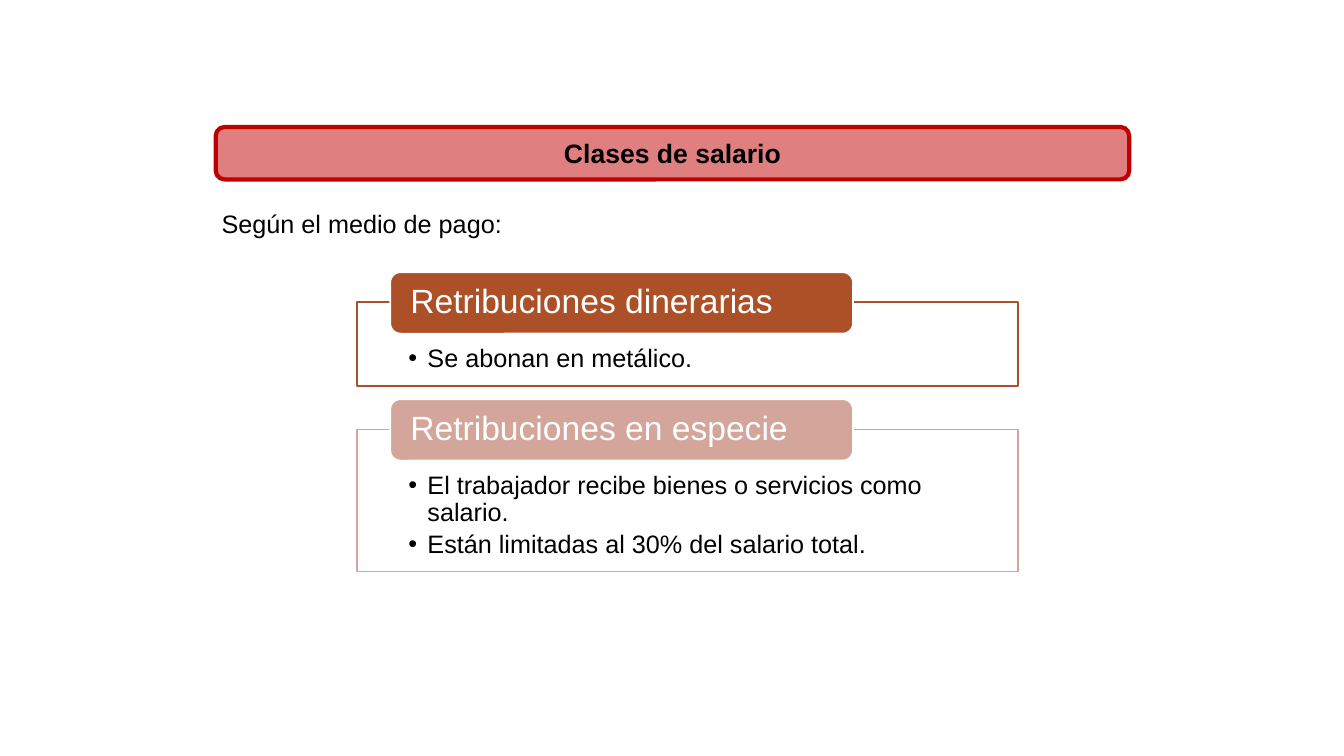
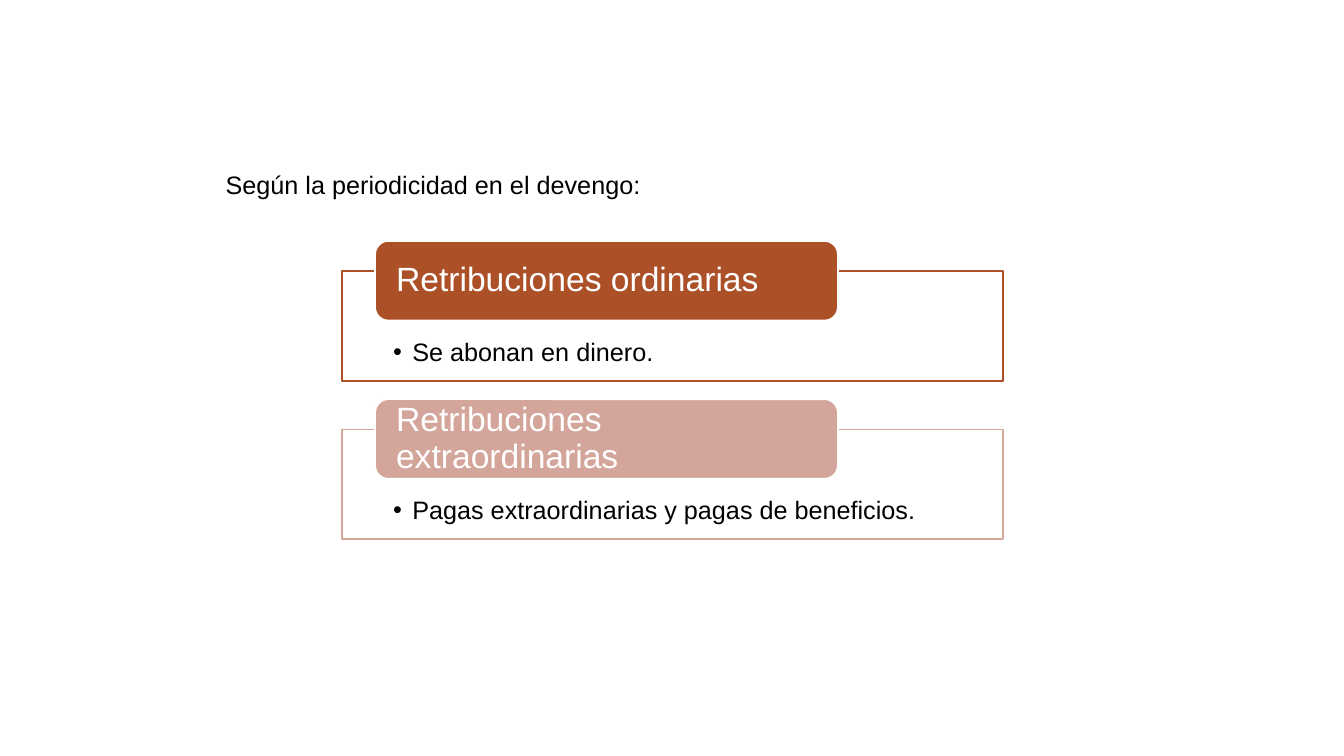
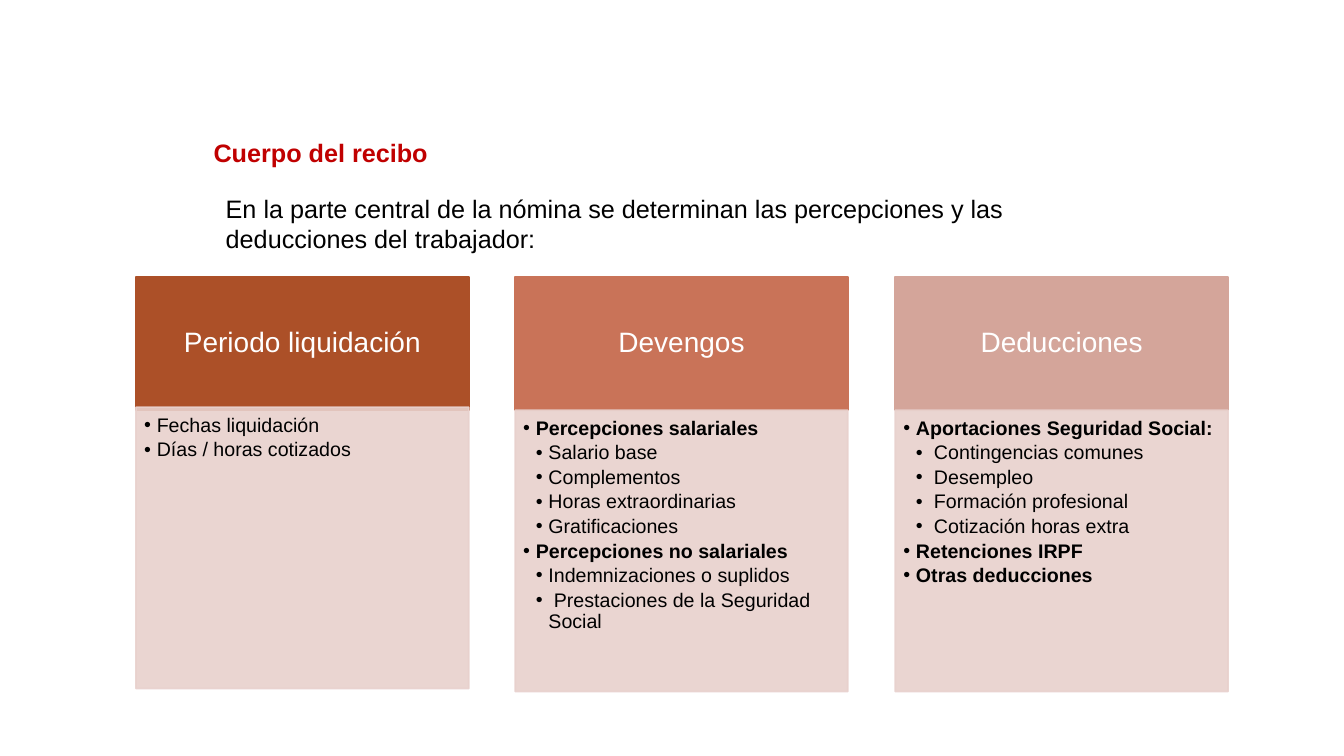
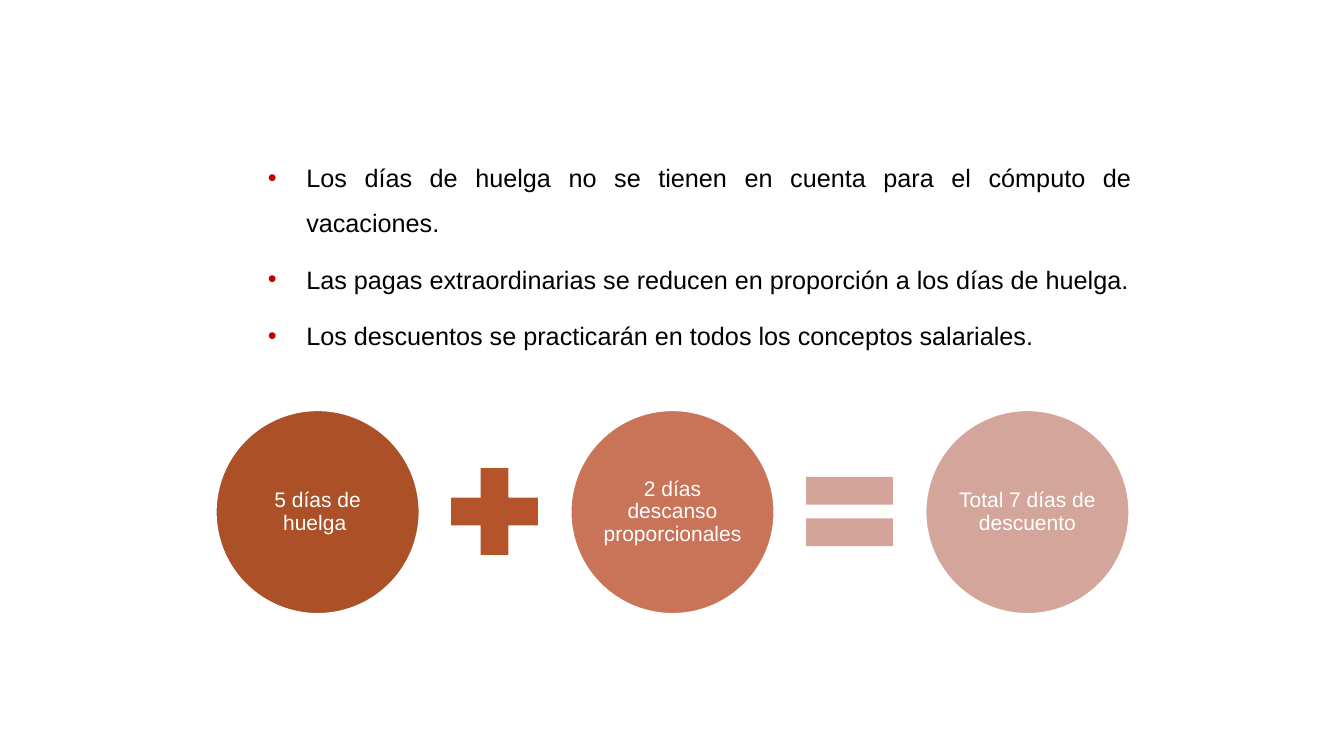
import pptx
import pptx.dml.color
import pptx.enum.shapes
import pptx.enum.text
import pptx.oxml.ns
import pptx.util
from lxml import etree

PX = 9144  # EMU in one px: 100 px to the inch
FONT = "Arial"
COLORS = {
    "red": "C00000",
    "black": "000000",
    "white": "FFFFFF",
    "rust": "AC5028",
    "terracotta": "C97358",
    "rose": "D4A59A",
    "blush": "E8D1CD",
    "plus": "B5542A",
    "equal": "D4A49A",
}
COLUMN_COLORS = ("rust", "terracotta", "rose")
CARD_COLORS = ("rust", "rose")

SHAPE = pptx.enum.shapes.MSO_SHAPE
ALIGN = pptx.enum.text.PP_ALIGN
ANCHOR = pptx.enum.text.MSO_ANCHOR
qn = pptx.oxml.ns.qn


def px(length):
    return pptx.util.Emu(length * PX)


def rgb(name):
    return pptx.dml.color.RGBColor.from_string(COLORS[name])


def fade(shape, percent, *fills):
    """Make the named colour fills of a shape partly transparent."""
    for fill in fills:
        color = shape.element.spPr.find(fill + "/" + qn("a:srgbClr"))
        etree.SubElement(color, qn("a:alpha"), val=str(percent * 1000))


FILL = qn("a:solidFill")
LINE_FILL = qn("a:ln") + "/" + FILL


def add_shape(slide, kind, box, fill, line=None, width=1.25):
    shape = slide.shapes.add_shape(kind, *map(px, box))
    shape.shadow.inherit = False
    shape.fill.solid()
    shape.fill.fore_color.rgb = rgb(fill)
    if line:
        shape.line.color.rgb = rgb(line)
        shape.line.width = pptx.util.Pt(width)
    else:
        shape.line.fill.background()
    return shape


def set_frame(shape, insets=(10, 5, 10, 5), anchor=ANCHOR.MIDDLE):
    frame = shape.text_frame
    frame.word_wrap = True
    frame.vertical_anchor = anchor
    frame.margin_left, frame.margin_top, frame.margin_right, frame.margin_bottom = map(px, insets)
    return frame


def add_bullet(para, left, hanging, color=None):
    props = para._p.get_or_add_pPr()
    props.set("marL", str(px(left)))
    props.set("indent", str(px(-hanging)))
    if color:
        bullet_color = etree.SubElement(props, qn("a:buClr"))
        etree.SubElement(bullet_color, qn("a:srgbClr"), val=COLORS[color])
    etree.SubElement(props, qn("a:buFont"), typeface=FONT)
    etree.SubElement(props, qn("a:buChar"), char="•")


def write(para, text, size, color="black", bold=False, align=ALIGN.LEFT, spacing=1.0, after=0):
    para.alignment = align
    para.line_spacing = spacing
    para.space_after = pptx.util.Pt(after)
    span = para.add_run()
    span.text = text
    span.font.name = FONT
    span.font.size = pptx.util.Pt(size)
    span.font.bold = bold
    span.font.color.rgb = rgb(color)


def paragraphs(frame, items):
    """Yield each item with a paragraph of its own."""
    for index, item in enumerate(items):
        yield (frame.add_paragraph() if index else frame.paragraphs[0]), item


def write_bullets(frame, items, size, step):
    """Write (level, bold, text) items, each level indented by one step."""
    for para, (level, bold, text) in paragraphs(frame, items):
        add_bullet(para, step * level, step)
        para.level = level
        write(para, text, size, bold=bold, spacing=0.9, after=round(size * 0.17, 1))


def add_text(slide, box, text, **style):
    shape = slide.shapes.add_textbox(*map(px, box))
    frame = set_frame(shape, anchor=ANCHOR.TOP)
    write(frame.paragraphs[0], text, 18, **style)


def add_banner(slide, box, text):
    banner = add_shape(slide, SHAPE.ROUNDED_RECTANGLE, box, "red", "red", 3)
    fade(banner, 50, FILL)
    write(set_frame(banner).paragraphs[0], text, 19, bold=True, align=ALIGN.CENTER)


def add_card(slide, box, color, tab_height, text_top, heading, items):
    """Outlined box with a heading tab across its top edge."""
    left, top = box[:2]
    body = add_shape(slide, SHAPE.RECTANGLE, box, "white", color)
    frame = set_frame(body, (51, text_top, 51, 14), ANCHOR.TOP)
    write_bullets(frame, [(1, False, item) for item in items], 18, 19)
    tab = add_shape(slide, SHAPE.ROUNDED_RECTANGLE, (left + 33, top - 30, 459, tab_height), color, "white")
    write(set_frame(tab, (17, 0, 17, 0)).paragraphs[0], heading, 24, "white", spacing=0.9)


def add_column(slide, box, color, body_top, heading, items):
    left, top, width, height = box
    header = add_shape(slide, SHAPE.RECTANGLE, (left, top, width, 132), color, color)
    write(set_frame(header, (16, 9, 16, 9)).paragraphs[0], heading, 20, "white",
          align=ALIGN.CENTER, spacing=0.9)
    body = add_shape(slide, SHAPE.RECTANGLE, (left, top + body_top, width, height - 132), "blush", "blush")
    fade(body, 90, FILL, LINE_FILL)
    write_bullets(set_frame(body, (8, 8, 11, 12), ANCHOR.TOP), items, 14, 12.5)


def add_sum(slide, left, top, terms):
    """Row of circles joined by a plus sign and an equals sign."""
    circle, sign, pitch = 202, 117, 352
    for index, (text, color) in enumerate(zip(terms, COLUMN_COLORS)):
        box = (left + index * pitch, top, circle, circle)
        disc = add_shape(slide, SHAPE.OVAL, box, color, "white")
        write(set_frame(disc, (2, 2, 2, 2)).paragraphs[0], text, 15, "white",
              align=ALIGN.CENTER, spacing=0.9)
    for index, (kind, color) in enumerate(((SHAPE.MATH_PLUS, "plus"), (SHAPE.MATH_EQUAL, "equal"))):
        sign_left = left + index * pitch + (circle + pitch - sign) // 2
        add_shape(slide, kind, (sign_left, top + (circle - sign) // 2, sign, sign), color)


def payment_slide(slide):
    add_banner(slide, (214, 126, 906, 52), "Clases de salario")
    add_text(slide, (210, 187, 906, 56), "Según el medio de pago:", align=ALIGN.JUSTIFY, spacing=1.5)
    cards = (
        (300, 83, "Retribuciones dinerarias", ["Se abonan en metálico."]),
        (426, 141, "Retribuciones en especie", [
            "El trabajador recibe bienes o servicios como salario.",
            "Están limitadas al 30% del salario total.",
        ]),
    )
    for color, (top, height, heading, items) in zip(CARD_COLORS, cards):
        add_card(slide, (354, top, 656, height), color, 61, 43, heading, items)


def period_slide(slide):
    add_text(slide, (214, 148, 906, 56), "Según la periodicidad en el devengo:",
             align=ALIGN.JUSTIFY, spacing=1.5)
    cards = (
        ("Retribuciones ordinarias", "Se abonan en dinero."),
        ("Retribuciones extraordinarias", "Pagas extraordinarias y pagas de beneficios."),
    )
    for index, (heading, item) in enumerate(cards):
        box = (339, 269 + 157 * index, 656, 109)
        add_card(slide, box, CARD_COLORS[index], 79, 68, heading, [item])


def payslip_slide(slide):
    add_text(slide, (202, 131, 937, 40), "Cuerpo del recibo", color="red", bold=True)
    add_text(slide, (214, 187, 891, 71),
             "En la parte central de la nómina se determinan las percepciones y las deducciones del trabajador:")
    columns = (
        (129, "Periodo liquidación", [
            (1, False, "Fechas liquidación"),
            (1, False, "Días / horas cotizados"),
        ]),
        (132, "Devengos", [
            (1, True, "Percepciones salariales"),
            (2, False, "Salario base"),
            (2, False, "Complementos"),
            (2, False, "Horas extraordinarias"),
            (2, False, "Gratificaciones"),
            (1, True, "Percepciones no salariales"),
            (2, False, "Indemnizaciones o suplidos"),
            (2, False, " Prestaciones de la Seguridad Social"),
        ]),
        (132, "Deducciones", [
            (1, True, "Aportaciones Seguridad Social:"),
            (2, False, " Contingencias comunes"),
            (2, False, " Desempleo"),
            (2, False, " Formación profesional"),
            (2, False, " Cotización horas extra"),
            (1, True, "Retenciones IRPF"),
            (1, True, "Otras deducciones"),
        ]),
    )
    for index, (body_top, heading, items) in enumerate(columns):
        box = (135 + index * 753 // 2, 275, 330, 411)
        add_column(slide, box, COLUMN_COLORS[index], body_top, heading, items)


def strike_slide(slide):
    notes = slide.shapes.add_textbox(*map(px, (206, 141, 926, 274)))
    items = (
        "Los días de huelga no se tienen en cuenta para el cómputo de vacaciones.",
        "Las pagas extraordinarias se reducen en proporción a los días de huelga.",
        "Los descuentos se practicarán en todos los conceptos salariales.",
    )
    for para, text in paragraphs(set_frame(notes, anchor=ANCHOR.TOP), items):
        add_bullet(para, 88, 38, "red")
        write(para, text, 18, align=ALIGN.JUSTIFY, spacing=1.5, after=8)
    add_sum(slide, 214, 407, (
        "5 días de huelga ",
        "2 días descanso proporcionales",
        "Total 7 días de descuento",
    ))


def main():
    deck = pptx.Presentation()
    deck.slide_width = pptx.util.Inches(13.33)
    deck.slide_height = px(750)
    for build in (payment_slide, period_slide, payslip_slide, strike_slide):
        build(deck.slides.add_slide(deck.slide_layouts[6]))
    deck.save("out.pptx")


if __name__ == "__main__":
    main()
